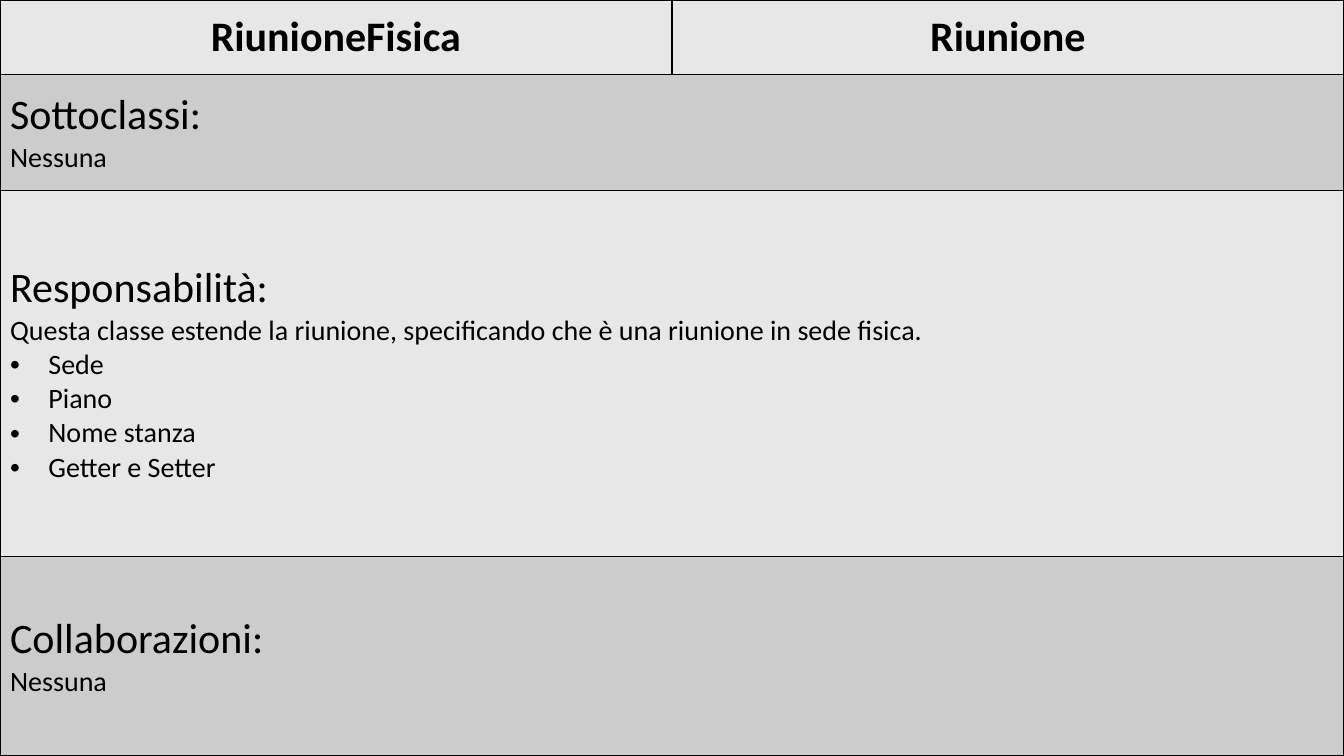
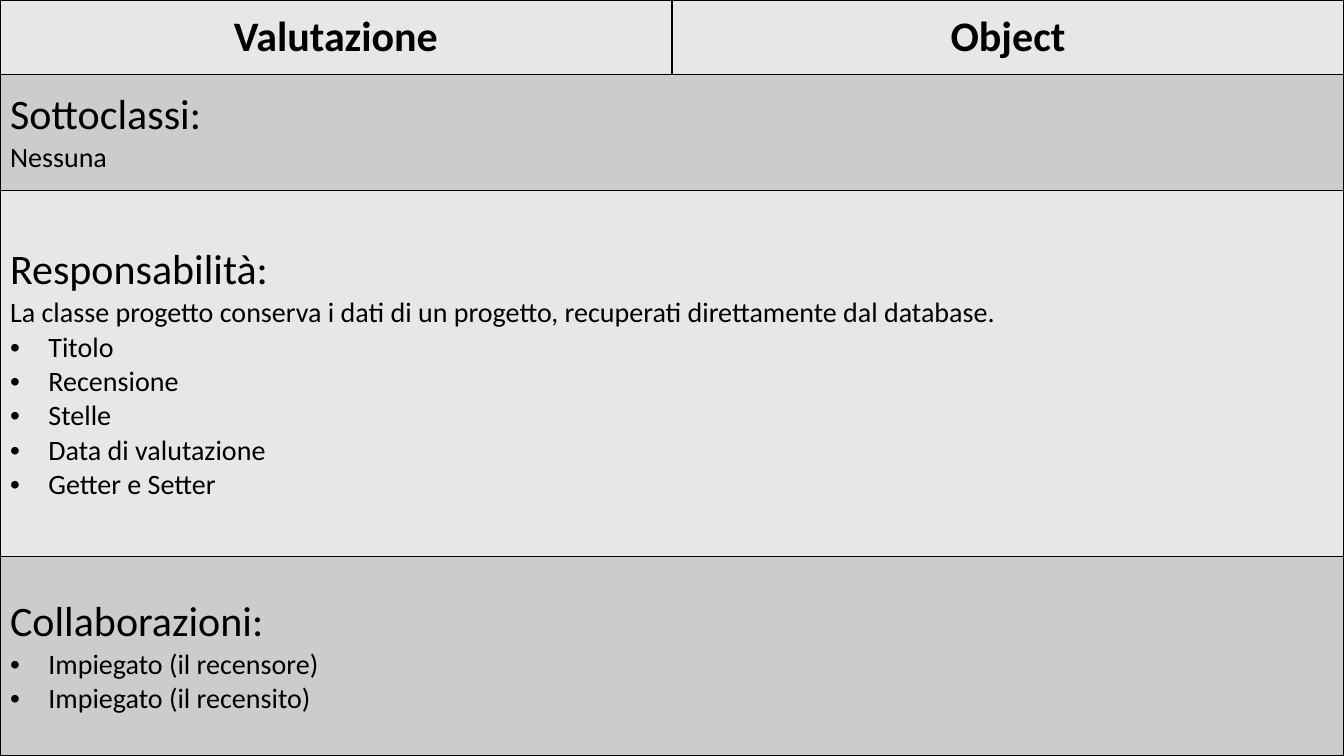
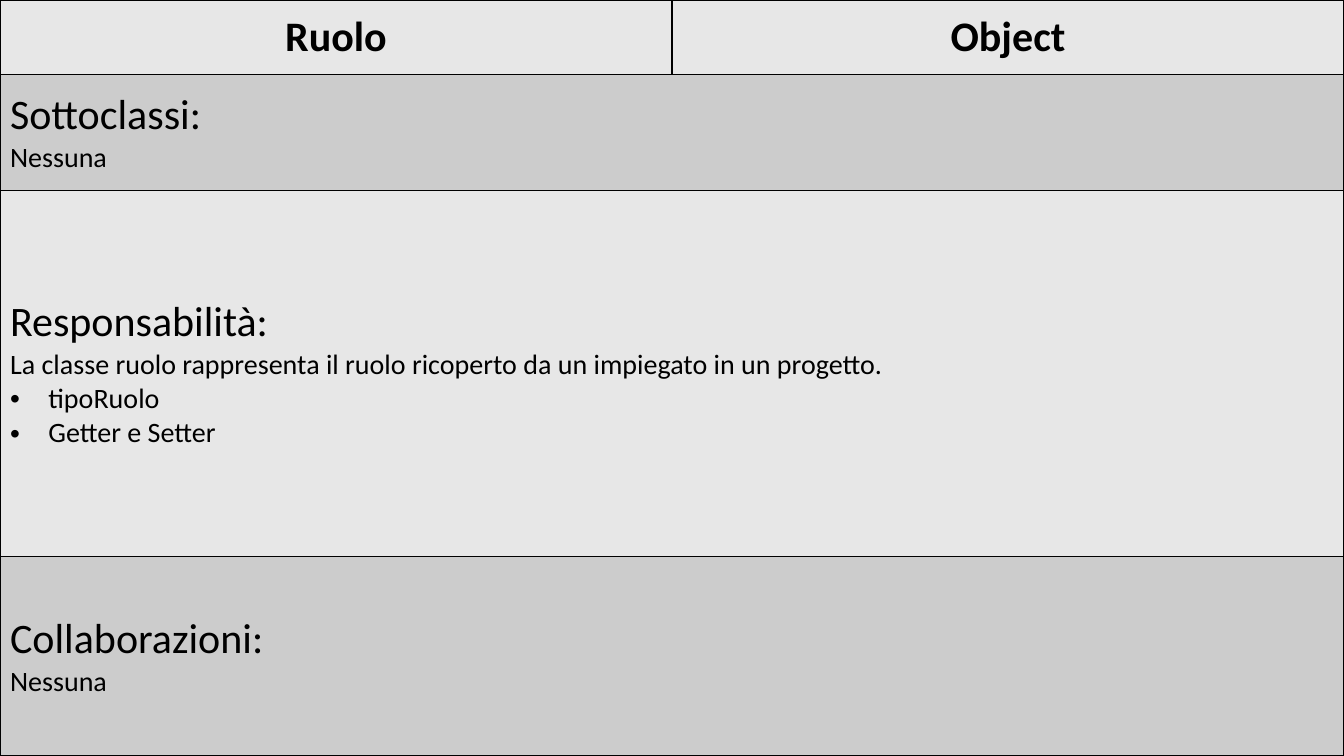
import pptx
import pptx.dml.color
import pptx.enum.text
import pptx.oxml
import pptx.oxml.ns
import pptx.util
from lxml import etree

Inches = pptx.util.Inches
Pt = pptx.util.Pt
ALIGN = pptx.enum.text.PP_ALIGN

# Shared style
COLORS = {"text": "000000", "border": "000000", "light": "E7E7E7", "dark": "CCCCCC"}
SLIDE_WIDTH, SLIDE_HEIGHT = 13.33, 7.5
ROW_HEIGHTS = [0.74, 1.15, 3.63, 1.98]
BULLET_INDENT = 0.38
BORDER_WIDTH = 1
FORMATS = {
    "title": {"size": Pt(30), "bold": True},
    "heading": {"size": Pt(30), "bold": False},
    "body": {"size": Pt(20), "bold": False},
}

# One entry per class card
CARDS = [
    {
        "name": "RiunioneFisica",
        "parent": "Riunione",
        "purpose": "Questa classe estende la riunione, specificando che è una riunione in sede fisica.",
        "duties": ["Sede", "Piano", "Nome stanza", "Getter e Setter"],
        "partners": [],
    },
    {
        "name": "Valutazione",
        "parent": "Object",
        "purpose": "La classe progetto conserva i dati di un progetto, recuperati direttamente dal database.",
        "duties": ["Titolo", "Recensione", "Stelle", "Data di valutazione", "Getter e Setter"],
        "partners": ["Impiegato (il recensore)", "Impiegato (il recensito)"],
    },
    {
        "name": "Ruolo",
        "parent": "Object",
        "purpose": "La classe ruolo rappresenta il ruolo ricoperto da un impiegato in un progetto.",
        "duties": ["tipoRuolo", "Getter e Setter"],
        "partners": [],
    },
]


def rgb(name):
    return pptx.dml.color.RGBColor.from_string(COLORS[name])


def add_borders(cell):
    properties = cell._tc.get_or_add_tcPr()
    for side in ("lnL", "lnR", "lnT", "lnB"):
        line = etree.SubElement(
            properties, pptx.oxml.ns.qn(f"a:{side}"), w=str(Pt(BORDER_WIDTH))
        )
        fill = etree.SubElement(line, pptx.oxml.ns.qn("a:solidFill"))
        etree.SubElement(fill, pptx.oxml.ns.qn("a:srgbClr"), val=COLORS["border"])


def add_bullet(paragraph):
    properties = paragraph._p.get_or_add_pPr()
    properties.set("marL", str(Inches(BULLET_INDENT)))
    properties.set("indent", str(-Inches(BULLET_INDENT)))
    etree.SubElement(properties, pptx.oxml.ns.qn("a:buFont"), typeface="Arial")
    etree.SubElement(properties, pptx.oxml.ns.qn("a:buChar"), char="•")


def write_cell(cell, lines):
    """Write (text, format name, alignment, bulleted) lines into a cell."""
    frame = cell.text_frame
    for index, (text, style, alignment, bulleted) in enumerate(lines):
        paragraph = frame.add_paragraph() if index else frame.paragraphs[0]
        paragraph.alignment = alignment
        if bulleted:
            add_bullet(paragraph)
        run = paragraph.add_run()
        run.text = text
        run.font.name = "Calibri"
        run.font.color.rgb = rgb("text")
        for attribute, value in FORMATS[style].items():
            setattr(run.font, attribute, value)


def section(heading, plain=(), bullets=(), alignment=ALIGN.LEFT):
    return (
        [(heading, "heading", alignment, False)]
        + [(text, "body", alignment, False) for text in plain]
        + [(text, "body", ALIGN.JUSTIFY, True) for text in bullets]
    )


def add_card_table(slide, card, left, top, width, height):
    shape = slide.shapes.add_table(
        len(ROW_HEIGHTS), 2, Inches(left), Inches(top), Inches(width), Inches(height)
    )
    table = shape.table
    table.first_row = table.horz_banding = False
    for column in table.columns:
        column.width = Inches(width / 2)

    # Alternating row fills, borders and merged section rows
    for index, row in enumerate(table.rows):
        row.height = Inches(height * ROW_HEIGHTS[index] / sum(ROW_HEIGHTS))
        for cell in row.cells:
            add_borders(cell)
            cell.fill.solid()
            cell.fill.fore_color.rgb = rgb("dark" if index % 2 else "light")
            cell.vertical_anchor = pptx.enum.text.MSO_ANCHOR.MIDDLE
        if index:
            table.cell(index, 0).merge(table.cell(index, 1))

    # Class and superclass names
    for column, key in enumerate(("name", "parent")):
        write_cell(table.cell(0, column), [(card[key], "title", ALIGN.CENTER, False)])

    # Card sections
    sections = [
        section("Sottoclassi:", ["Nessuna"]),
        section("Responsabilità:", [card["purpose"]], card["duties"], ALIGN.JUSTIFY),
        section("Collaborazioni:", [] if card["partners"] else ["Nessuna"], card["partners"]),
    ]
    for index, lines in enumerate(sections, start=1):
        write_cell(table.cell(index, 0), lines)


def main():
    presentation = pptx.Presentation()
    presentation.slide_width = Inches(SLIDE_WIDTH)
    presentation.slide_height = Inches(SLIDE_HEIGHT)
    blank_layout = presentation.slide_layouts[6]
    for card in CARDS:
        slide = presentation.slides.add_slide(blank_layout)
        add_card_table(slide, card, 0, 0, SLIDE_WIDTH, SLIDE_HEIGHT)
    presentation.save("out.pptx")


if __name__ == "__main__":
    main()
